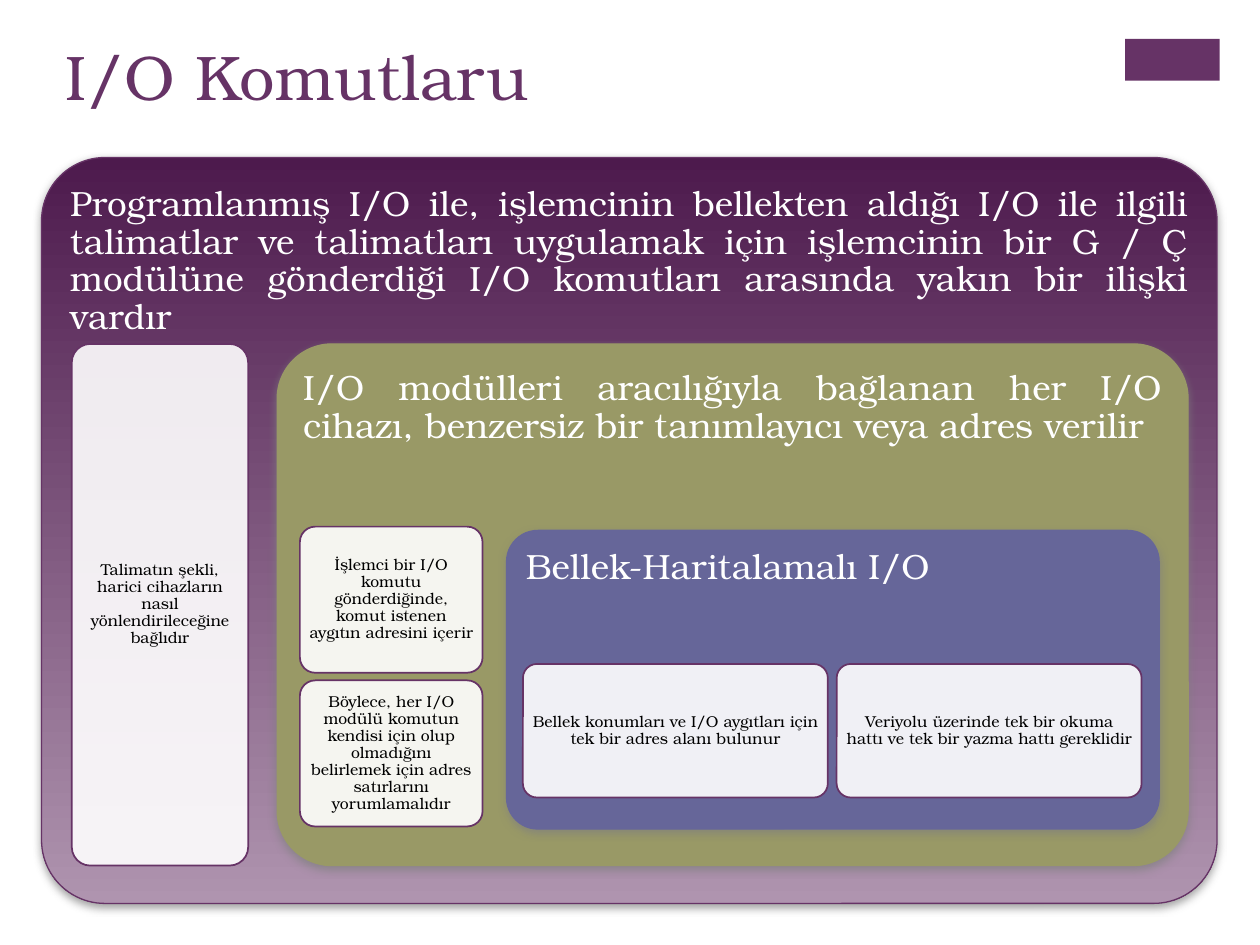
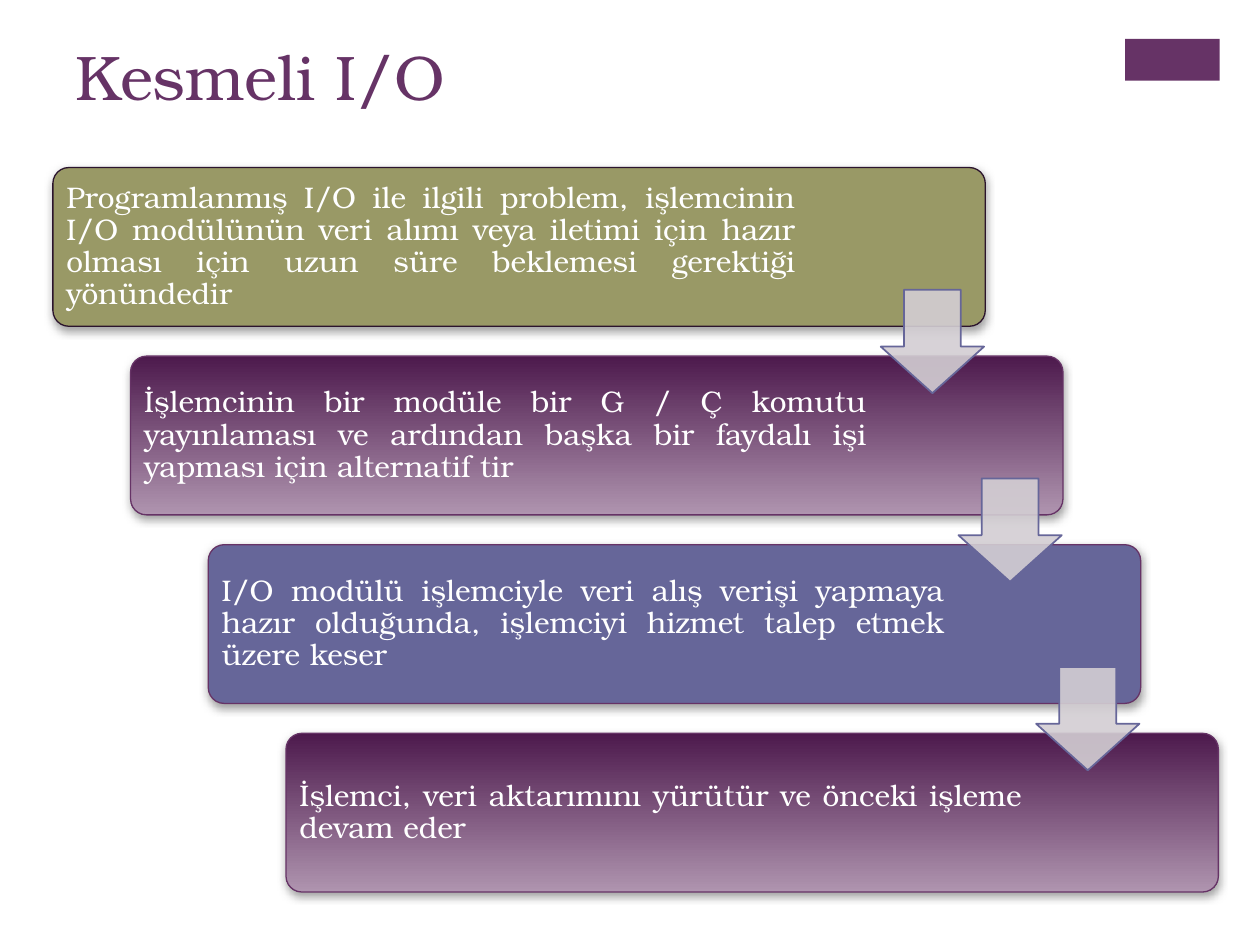
"""Build two slides on I/O commands and interrupt-driven I/O."""
from dataclasses import dataclass

from lxml.etree import SubElement
from pptx import Presentation
from pptx.dml.color import RGBColor
from pptx.enum.shapes import MSO_SHAPE as Shape
from pptx.enum.text import MSO_ANCHOR as Anchor, MSO_AUTO_SIZE as AutoSize, PP_ALIGN as Align
from pptx.oxml.ns import qn
from pptx.util import Inches, Pt


@dataclass(frozen=True)
class Theme:
    font: str = "TeX Gyre Bonum"
    plum: str = "663366"
    plum_fade: tuple = ("4D1A4D", "AF94AF")
    olive: str = "999966"
    indigo: str = "666699"
    dark: str = "2B142D"
    white: str = "FFFFFF"
    black: str = "000000"
    arrow: str = "D3CED3"
    shadow: str = "808080"
    title_size: int = 36
    panel_size: int = 20
    step_size: int = 17
    card_size: int = 9
    outline: float = 0.75
    thin: float = 1


THEME = Theme()
TAG_BOX = (8.93, 0.31, 0.75, 0.33)

COMMANDS_TITLE = ("I/O Komutlaru", 0.42)
PANELS = [
    dict(
        text="Programlanmış I/O ile, işlemcinin bellekten aldığı I/O ile ilgili talimatlar "
             "ve talimatları uygulamak için işlemcinin bir G / Ç modülüne gönderdiği I/O "
             "komutları arasında yakın bir ilişki vardır",
        box=(0.33, 1.25, 9.33, 5.92), rounding=0.085, align=Align.JUSTIFY,
        fill=THEME.plum_fade, line=THEME.plum,
        first_card=(0.57, 2.73, 1.4, 4.14), pitch=(0, 0),
        cards=["Talimatın şekli, harici cihazların nasıl yönlendirileceğine bağlıdır"],
    ),
    dict(
        text="I/O modülleri aracılığıyla bağlanan her I/O cihazı, benzersiz bir "
             "tanımlayıcı veya adres verilir",
        box=(2.2, 2.73, 7.23, 4.14), rounding=0.105, align=Align.JUSTIFY,
        fill=THEME.olive, line=THEME.olive,
        first_card=(2.38, 4.18, 1.45, 1.16), pitch=(0, 1.22),
        cards=[
            "İşlemci bir I/O komutu gönderdiğinde, komut istenen aygıtın adresini içerir",
            "Böylece, her I/O modülü komutun kendisi için olup olmadığını belirlemek "
            "için adres satırlarını yorumlamalıdır",
        ],
    ),
    dict(
        text="Bellek-Haritalamalı I/O",
        box=(4.02, 4.21, 5.18, 2.37), rounding=0.105, align=Align.LEFT,
        fill=THEME.indigo, line=THEME.indigo,
        first_card=(4.15, 5.27, 2.42, 1.06), pitch=(2.49, 0),
        cards=[
            "Bellek konumları ve I/O aygıtları için tek bir adres alanı bulunur",
            "Veriyolu üzerinde tek bir okuma hattı ve tek bir yazma hattı gereklidir",
        ],
    ),
]

INTERRUPT_TITLE = ("Kesmeli I/O", 0.5)
STEPS = [
    ("Programlanmış I/O ile ilgili problem, işlemcinin I/O modülünün veri alımı veya "
     "iletimi için hazır olması için uzun süre beklemesi gerektiği yönündedir",
     THEME.olive, THEME.dark, 1.47),
    ("İşlemcinin bir modüle bir G / Ç komutu yayınlaması ve ardından başka bir faydalı "
     "işi yapması için alternatif tir", THEME.plum_fade, THEME.plum, 1.52),
    ("I/O modülü işlemciyle veri alış verişi yapmaya hazır olduğunda, işlemciyi hizmet "
     "talep etmek üzere keser", THEME.indigo, THEME.plum, 1.52),
    ("İşlemci, veri aktarımını yürütür ve önceki işleme devam eder",
     THEME.plum_fade, THEME.plum, 1.52),
]
FIRST_STEP, LAST_STEP = (0.42, 1.33), (2.27, 5.82)
STEP_SIZE = (7.4, 1.26)
ARROW_OFFSET, ARROW_SIDE = (6.57, 0.97), 0.82


def rgb(color):
    """Turn a hex string into a colour."""
    return RGBColor.from_string(color)


def paint(shape, fill, opacity=100):
    """Fill a shape with a solid colour or a top-to-bottom fade."""
    if isinstance(fill, tuple):
        shape.fill.gradient()
        shape.fill.gradient_angle = 270
        for stop, color, position in zip(shape.fill.gradient_stops, fill, (0, 1)):
            stop.color.rgb = rgb(color)
            stop.position = position
        return
    shape.fill.solid()
    shape.fill.fore_color.rgb = rgb(fill)
    if opacity < 100:
        color_element = shape.fill._xPr.find(qn("a:solidFill"))[0]
        SubElement(color_element, qn("a:alpha"), val=str(opacity * 1000))


def add_block(slide, kind, box, fill, line=None, width=THEME.thin, adjustments=(), opacity=100):
    """Add a preset shape with a flat look."""
    shape = slide.shapes.add_shape(kind, *map(Inches, box))
    shape.shadow.inherit = False
    for index, value in enumerate(adjustments):
        shape.adjustments[index] = value
    paint(shape, fill, opacity)
    if line:
        shape.line.color.rgb = rgb(line)
        shape.line.width = Pt(width)
    else:
        shape.line.fill.background()
    return shape


def add_shadow(shape):
    """Drop a soft shadow below a shape."""
    effects = shape._element.spPr.find(qn("a:effectLst"))
    shadow = SubElement(effects, qn("a:outerShdw"), blurRad=str(Pt(5)), dist=str(Pt(2)),
                        dir="5400000", rotWithShape="0")
    color = SubElement(shadow, qn("a:srgbClr"), val=THEME.shadow)
    SubElement(color, qn("a:alpha"), val="75000")


def write(shape, text, size, color, align, anchor, margin, right=None):
    """Put one formatted paragraph in a shape."""
    frame = shape.text_frame
    frame.word_wrap = True
    frame.auto_size = AutoSize.NONE
    frame.vertical_anchor = anchor
    frame.margin_left = frame.margin_top = frame.margin_bottom = Inches(margin)
    frame.margin_right = Inches(right or margin)
    frame.text = text
    paragraph = frame.paragraphs[0]
    paragraph.alignment = align
    paragraph.line_spacing = 0.9
    paragraph.font.name = THEME.font
    paragraph.font.size = Pt(size)
    paragraph.font.color.rgb = rgb(color)


def add_slide(presentation, title_text, left):
    """Add a slide with its title and corner tag."""
    slide = presentation.slides.add_slide(presentation.slide_layouts[5])
    add_block(slide, Shape.RECTANGLE, TAG_BOX, THEME.plum)
    title = slide.shapes.title
    title.left, title.top, title.width, title.height = map(Inches, (left, 0.25, 8.26, 1.22))
    write(title, title_text, THEME.title_size, THEME.plum, Align.LEFT, Anchor.TOP, 0.1)
    title.text_frame.margin_top = Inches(0.05)
    title.text_frame.paragraphs[0].line_spacing = 1.0
    return slide


def add_panel(slide, panel):
    """Add a panel and the row or column of cards on it."""
    shape = add_block(slide, Shape.ROUNDED_RECTANGLE, panel["box"], panel["fill"],
                      panel["line"], THEME.outline, [panel["rounding"]])
    add_shadow(shape)
    write(shape, panel["text"], THEME.panel_size, THEME.white, panel["align"], Anchor.TOP, 0.08)
    left, top, width, height = panel["first_card"]
    across, down = panel["pitch"]
    for index, text in enumerate(panel["cards"]):
        box = (left + index * across, top + index * down, width, height)
        card = add_block(slide, Shape.ROUNDED_RECTANGLE, box, THEME.white, THEME.plum,
                         adjustments=[0.105], opacity=90)
        write(card, text, THEME.card_size, THEME.black, Align.CENTER, Anchor.MIDDLE, 0.04)


def add_staircase(slide):
    """Add the descending steps and the arrows between them."""
    gaps = len(STEPS) - 1
    corners = [tuple(first + (last - first) * index / gaps
                     for first, last in zip(FIRST_STEP, LAST_STEP))
               for index in range(len(STEPS))]
    for corner, (text, fill, line, right) in zip(corners, STEPS):
        step = add_block(slide, Shape.ROUNDED_RECTANGLE, corner + STEP_SIZE, fill, line,
                         THEME.outline, [0.1])
        add_shadow(step)
        write(step, text, THEME.step_size, THEME.white, Align.JUSTIFY, Anchor.MIDDLE, 0.07, right)
    for left, top in corners[:-1]:
        box = (left + ARROW_OFFSET[0], top + ARROW_OFFSET[1], ARROW_SIDE, ARROW_SIDE)
        add_block(slide, Shape.DOWN_ARROW, box, THEME.arrow, THEME.indigo,
                  adjustments=[0.55, 0.45], opacity=90)


def main():
    """Build and save the presentation."""
    presentation = Presentation()
    presentation.slide_width, presentation.slide_height = Inches(10), Inches(7.5)
    commands = add_slide(presentation, *COMMANDS_TITLE)
    for panel in PANELS:
        add_panel(commands, panel)
    add_staircase(add_slide(presentation, *INTERRUPT_TITLE))
    presentation.save("out.pptx")


if __name__ == "__main__":
    main()
